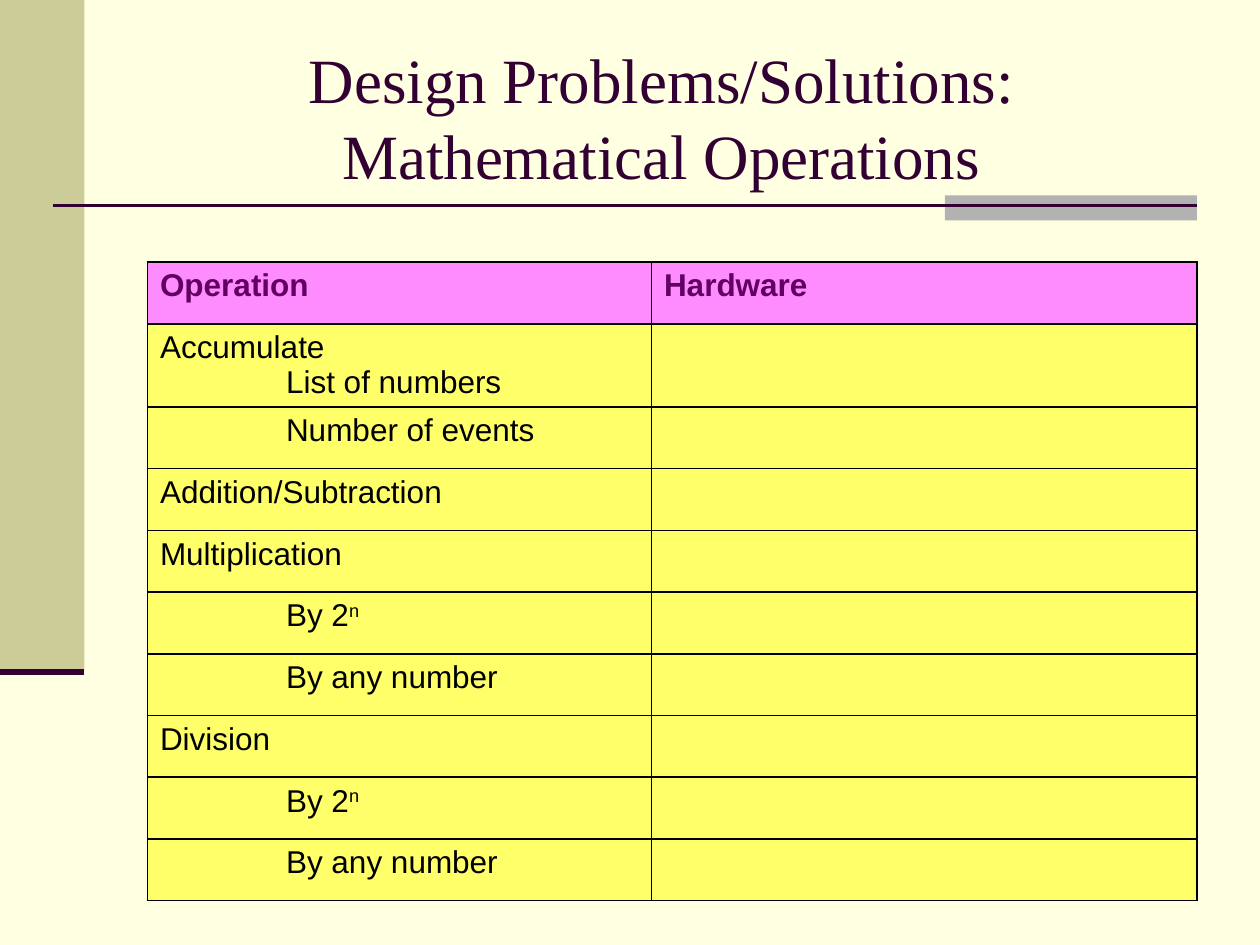
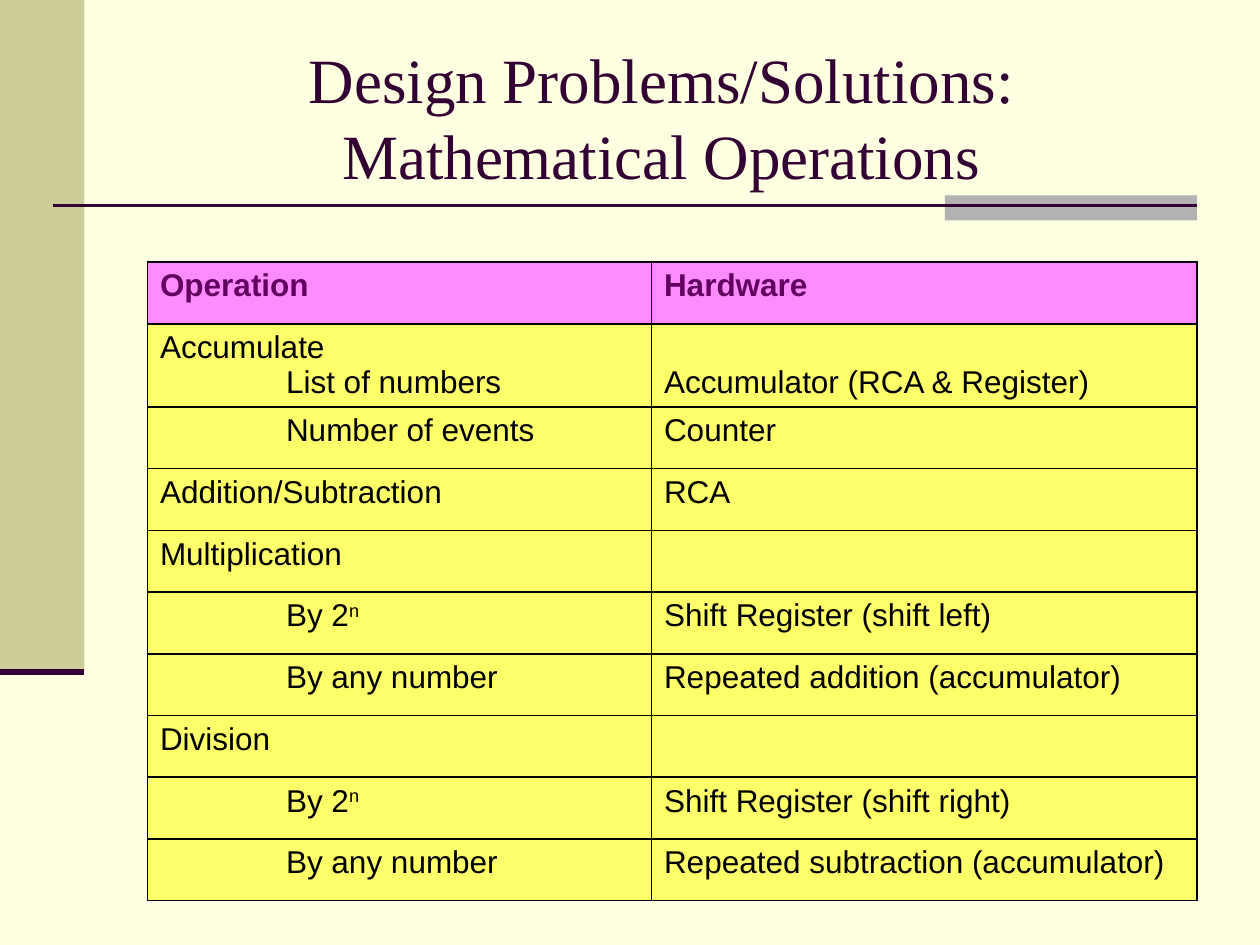
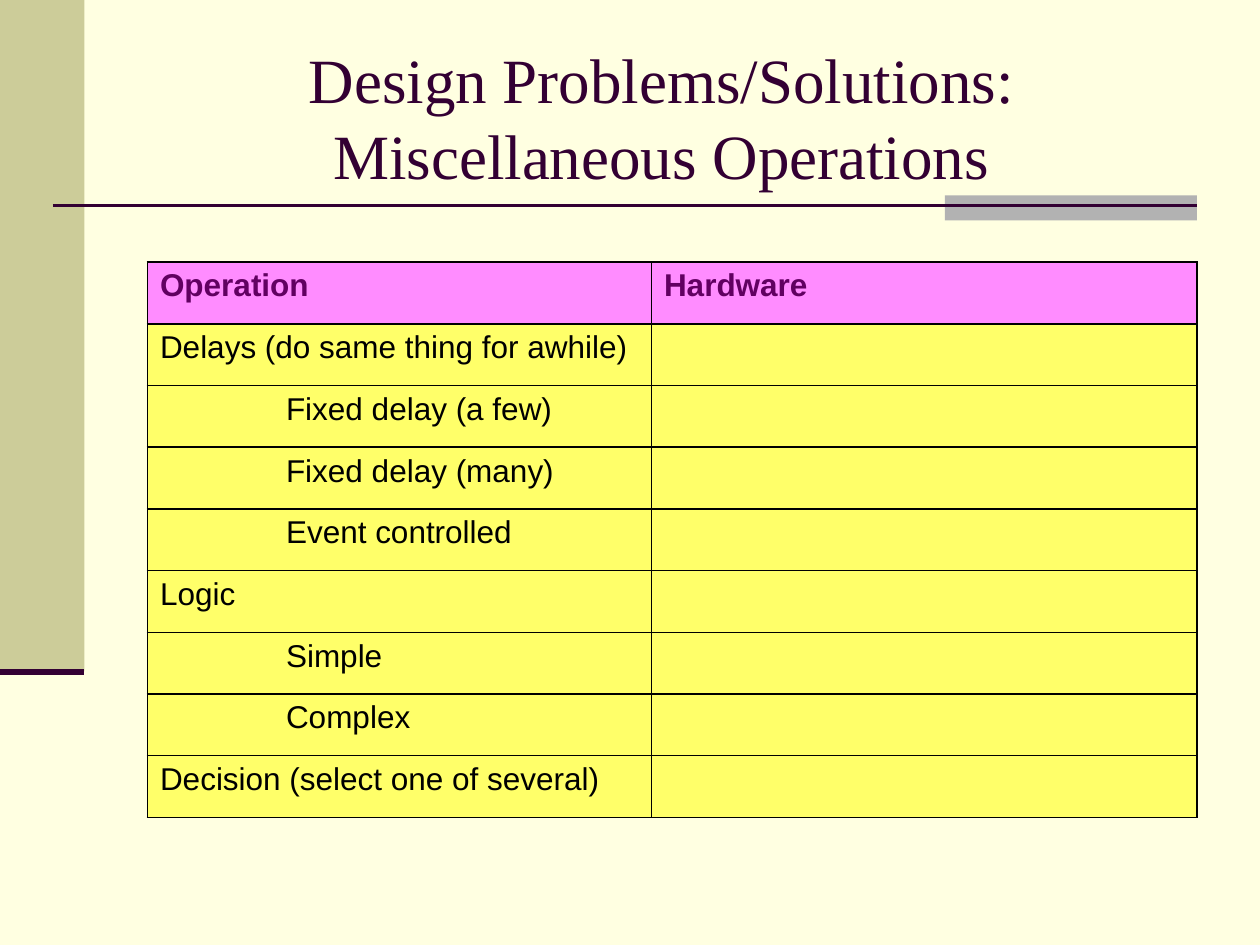
from pptx import Presentation
from pptx.dml.color import RGBColor
from pptx.enum.shapes import MSO_CONNECTOR, MSO_SHAPE
from pptx.enum.text import MSO_ANCHOR, PP_ALIGN
from pptx.util import Inches, Pt
from lxml.etree import SubElement
from pptx.oxml.ns import qn

COLORS = {
    "background": "FFFFE1",
    "band": "CCCC99",
    "accent": "B2B2B2",
    "title": "330033",
    "header_fill": "FF8CFF",
    "header_text": "610061",
    "body_fill": "FFFF69",
    "body_text": "000000",
    "border": "000000",
}
TITLE_FONT = "Times New Roman"
TABLE_FONT = "Arial"
COLUMN_WIDTHS = (4, 4.33)
ROW_HEIGHT = 0.49

# Content: a tab indents a sub-item, ^ starts a superscript
HEADER = ("Operation", "Hardware")
MATH_TITLE = "Design Problems/Solutions:\vMathematical Operations"
MATH_OPERATIONS = [
    "Accumulate\n\tList of numbers", "\tNumber of events", "Addition/Subtraction",
    "Multiplication", "\tBy 2^n", "\tBy any number",
    "Division", "\tBy 2^n", "\tBy any number",
]
MATH_HARDWARE = [
    "Accumulator (RCA & Register)", "Counter", "RCA",
    "", "Shift Register (shift left)", "Repeated addition (accumulator)",
    "", "Shift Register (shift right)", "Repeated subtraction (accumulator)",
]
MISC_TITLE = "Design Problems/Solutions:\vMiscellaneous Operations"
MISC_OPERATIONS = [
    "Delays (do same thing for awhile)", "\tFixed delay (a few)",
    "\tFixed delay (many)", "\tEvent controlled",
    "Logic", "\tSimple", "\tComplex", "Decision (select one of several)",
]
SLIDES = [
    (MATH_TITLE, MATH_OPERATIONS, [""] * len(MATH_OPERATIONS)),
    (MATH_TITLE, MATH_OPERATIONS, MATH_HARDWARE),
    (MISC_TITLE, MISC_OPERATIONS, [""] * len(MISC_OPERATIONS)),
]
BANDS = [
    (0, 0, 0.67, 5.33, "band"),
    (7.5, 1.55, 2, 0.2, "accent"),
]
RULES = [
    (0.42, 9.5, 1.63, 1.5),
    (0, 0.67, 5.33, 3.5),
]


def color(name):
    return RGBColor.from_string(COLORS[name])


def fill_cell(cell, text, fill, text_color, bold):
    # Borders come before the fill in the cell properties
    properties = cell._tc.get_or_add_tcPr()
    for side in ("lnL", "lnR", "lnT", "lnB"):
        line = SubElement(properties, qn(f"a:{side}"), w=str(Pt(1)))
        solid = SubElement(line, qn("a:solidFill"))
        SubElement(solid, qn("a:srgbClr"), val=COLORS["border"])
    cell.fill.solid()
    cell.fill.fore_color.rgb = color(fill)

    base, _, superscript = text.partition("^")
    cell.text_frame.text = base
    if superscript:
        run = cell.text_frame.paragraphs[-1].add_run()
        run.text = superscript
        run.font._element.set("baseline", "30000")
    for paragraph in cell.text_frame.paragraphs:
        if paragraph.text.startswith("\t"):
            tabs = SubElement(paragraph._p.get_or_add_pPr(), qn("a:tabLst"))
            SubElement(tabs, qn("a:tab"), pos=str(Inches(1)), algn="l")
        for run in paragraph.runs:
            run.font.name = TABLE_FONT
            run.font.size = Pt(18)
            run.font.bold = bold
            run.font.color.rgb = color(text_color)


presentation = Presentation()
presentation.slide_width = Inches(10)
presentation.slide_height = Inches(7.5)
background = presentation.slide_master.background.fill
background.solid()
background.fore_color.rgb = color("background")

for title, operations, hardware in SLIDES:
    slide = presentation.slides.add_slide(presentation.slide_layouts[6])

    # Side band and title accent
    for left, top, width, height, fill in BANDS:
        shape = slide.shapes.add_shape(
            MSO_SHAPE.RECTANGLE, Inches(left), Inches(top), Inches(width), Inches(height))
        shape.shadow.inherit = False
        shape.fill.solid()
        shape.fill.fore_color.rgb = color(fill)
        shape.line.fill.background()

    # Rules under the title and the side band
    for start, end, top, weight in RULES:
        connector = slide.shapes.add_connector(
            MSO_CONNECTOR.STRAIGHT, Inches(start), Inches(top), Inches(end), Inches(top))
        connector.line.color.rgb = color("title")
        connector.line.width = Pt(weight)
        SubElement(connector._element.spPr, qn("a:effectLst"))

    # Title
    title_box = slide.shapes.add_textbox(Inches(1), Inches(0.3), Inches(8.5), Inches(1.25))
    text_frame = title_box.text_frame
    text_frame.word_wrap = True
    text_frame.vertical_anchor = MSO_ANCHOR.MIDDLE
    text_frame.text = title
    paragraph = text_frame.paragraphs[0]
    paragraph.alignment = PP_ALIGN.CENTER
    for run in paragraph.runs:
        run.font.name = TITLE_FONT
        run.font.size = Pt(36)
        run.font.color.rgb = color("title")

    # Table of operations
    rows = [HEADER, *zip(operations, hardware)]
    table = slide.shapes.add_table(
        len(rows), len(HEADER), Inches(1.17), Inches(2.08),
        Inches(sum(COLUMN_WIDTHS)), Inches(ROW_HEIGHT * len(rows))).table
    table.first_row = False
    table.horz_banding = False
    for column, width in zip(table.columns, COLUMN_WIDTHS):
        column.width = Inches(width)
    for row_index, row in enumerate(rows):
        table.rows[row_index].height = Inches(ROW_HEIGHT)
        part = "header" if row_index == 0 else "body"
        for column_index, text in enumerate(row):
            fill_cell(table.cell(row_index, column_index), text,
                      f"{part}_fill", f"{part}_text", part == "header")
        # Hardware lines up with the last line of a two-line operation
        if "\n" in row[0]:
            table.cell(row_index, 0).margin_bottom = Inches(0.01)
            table.cell(row_index, 1).vertical_anchor = MSO_ANCHOR.BOTTOM

presentation.save("out.pptx")
